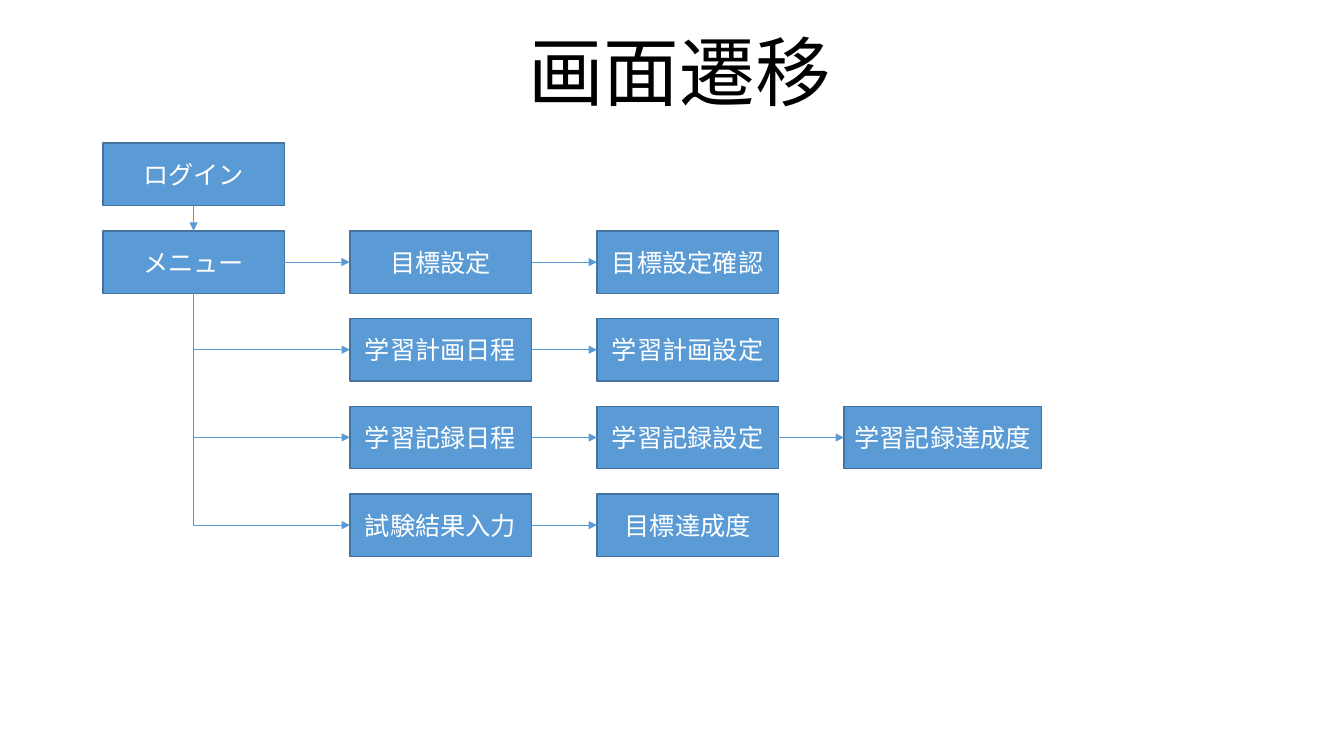
from lxml import etree
from pptx import Presentation
from pptx.dml.color import RGBColor
from pptx.enum.shapes import MSO_CONNECTOR, MSO_SHAPE
from pptx.enum.text import MSO_ANCHOR, MSO_AUTO_SIZE, PP_ALIGN
from pptx.oxml.ns import qn
from pptx.util import Inches, Pt

RECTANGLE = MSO_SHAPE.RECTANGLE
STRAIGHT, ELBOW = MSO_CONNECTOR.STRAIGHT, MSO_CONNECTOR.ELBOW
CENTER = PP_ALIGN.CENTER
MIDDLE, BOTTOM = MSO_ANCHOR.MIDDLE, MSO_ANCHOR.BOTTOM
NO_AUTOFIT = MSO_AUTO_SIZE.NONE
TOP_SIDE, LEFT_SIDE, BOTTOM_SIDE, RIGHT_SIDE = range(4)

# Screen name: (column, row)
SCREENS = {
    "ログイン": (0, 0),
    "メニュー": (0, 1),
    "目標設定": (1, 1),
    "目標設定確認": (2, 1),
    "学習計画日程": (1, 2),
    "学習計画設定": (2, 2),
    "学習記録日程": (1, 3),
    "学習記録設定": (2, 3),
    "学習記録達成度": (3, 3),
    "試験結果入力": (1, 4),
    "目標達成度": (2, 4),
}
WIDE_SCREEN = "学習記録達成度"
STEPS_RIGHT = [
    ("メニュー", "目標設定"),
    ("目標設定", "目標設定確認"),
    ("学習計画日程", "学習計画設定"),
    ("学習記録日程", "学習記録設定"),
    ("学習記録設定", "学習記録達成度"),
    ("試験結果入力", "目標達成度"),
]
MENU_BRANCHES = ["学習計画日程", "学習記録日程", "試験結果入力"]


def color(hex_code):
    return RGBColor.from_string(hex_code)


class FlowPage:
    font = "Calibri"
    fill, outline, arrow = "5B9BD5", "43739E", "5B9BD5"
    grid_left, grid_top = 1.02, 1.42
    column_step, row_step = 2.45, 0.87
    box_width, wide_box_width, box_height = 1.8, 1.96, 0.62

    def __init__(self, page):
        self.page = page

    def set_text(self, frame, text, size, hex_code, anchor):
        frame.text = text
        frame.word_wrap = True
        frame.vertical_anchor = anchor
        para = frame.paragraphs[0]
        para.alignment = CENTER
        span = para.runs[0]
        span.font.name = self.font
        span.font.size = Pt(size)
        span.font.color.rgb = color(hex_code)

    def title(self, text):
        box = self.page.shapes.title
        box.left, box.top = Inches(2.15), Inches(0.25)
        box.width, box.height = Inches(9.18), Inches(0.96)
        self.set_text(box.text_frame, text, 54, "000000", BOTTOM)
        box.text_frame.auto_size = NO_AUTOFIT
        box.text_frame.paragraphs[0].line_spacing = 0.9

    def screen(self, text, column, row, width):
        box = self.page.shapes.add_shape(
            RECTANGLE,
            Inches(self.grid_left + column * self.column_step),
            Inches(self.grid_top + row * self.row_step),
            Inches(width), Inches(self.box_height))
        box.shadow.inherit = False
        box.fill.solid()
        box.fill.fore_color.rgb = color(self.fill)
        box.line.color.rgb = color(self.outline)
        box.line.width = Pt(1)
        self.set_text(box.text_frame, text, 18, "FFFFFF", MIDDLE)
        return box

    def link(self, source, source_side, target, target_side, kind=STRAIGHT):
        line = self.page.shapes.add_connector(kind, 0, 0, 0, 0)
        line.begin_connect(source, source_side)
        line.end_connect(target, target_side)
        line.line.color.rgb = color(self.arrow)
        line.line.width = Pt(0.5)
        properties = line._element.spPr
        etree.SubElement(properties.find(qn("a:ln")), qn("a:tailEnd"), type="triangle")
        etree.SubElement(properties, qn("a:effectLst"))
        return line

    def branch(self, source, target):
        """Arrow that drops from the source and turns once, right into the target."""
        line = self.link(source, BOTTOM_SIDE, target, LEFT_SIDE, ELBOW)
        across, down = line.width, line.height
        line.left += (across - down) // 2
        line.top += (down - across) // 2
        line.width, line.height = down, across
        properties = line._element.spPr
        properties.find(qn("a:prstGeom")).set("prst", "bentConnector2")
        frame = properties.find(qn("a:xfrm"))
        frame.set("rot", "16200000")
        frame.set("flipH", "1")


def main():
    deck = Presentation()
    deck.slide_width, deck.slide_height = Inches(13.33), Inches(7.5)
    page = deck.slides.add_slide(deck.slide_layouts[0])
    subtitle = page.placeholders[1]._element
    subtitle.getparent().remove(subtitle)

    flow = FlowPage(page)
    flow.title("画面遷移")
    boxes = {}
    for name, (column, row) in SCREENS.items():
        width = flow.wide_box_width if name == WIDE_SCREEN else flow.box_width
        boxes[name] = flow.screen(name, column, row, width)

    flow.link(boxes["ログイン"], BOTTOM_SIDE, boxes["メニュー"], TOP_SIDE)
    for source, target in STEPS_RIGHT:
        flow.link(boxes[source], RIGHT_SIDE, boxes[target], LEFT_SIDE)
    for target in MENU_BRANCHES:
        flow.branch(boxes["メニュー"], boxes[target])
    deck.save("out.pptx")


if __name__ == "__main__":
    main()
